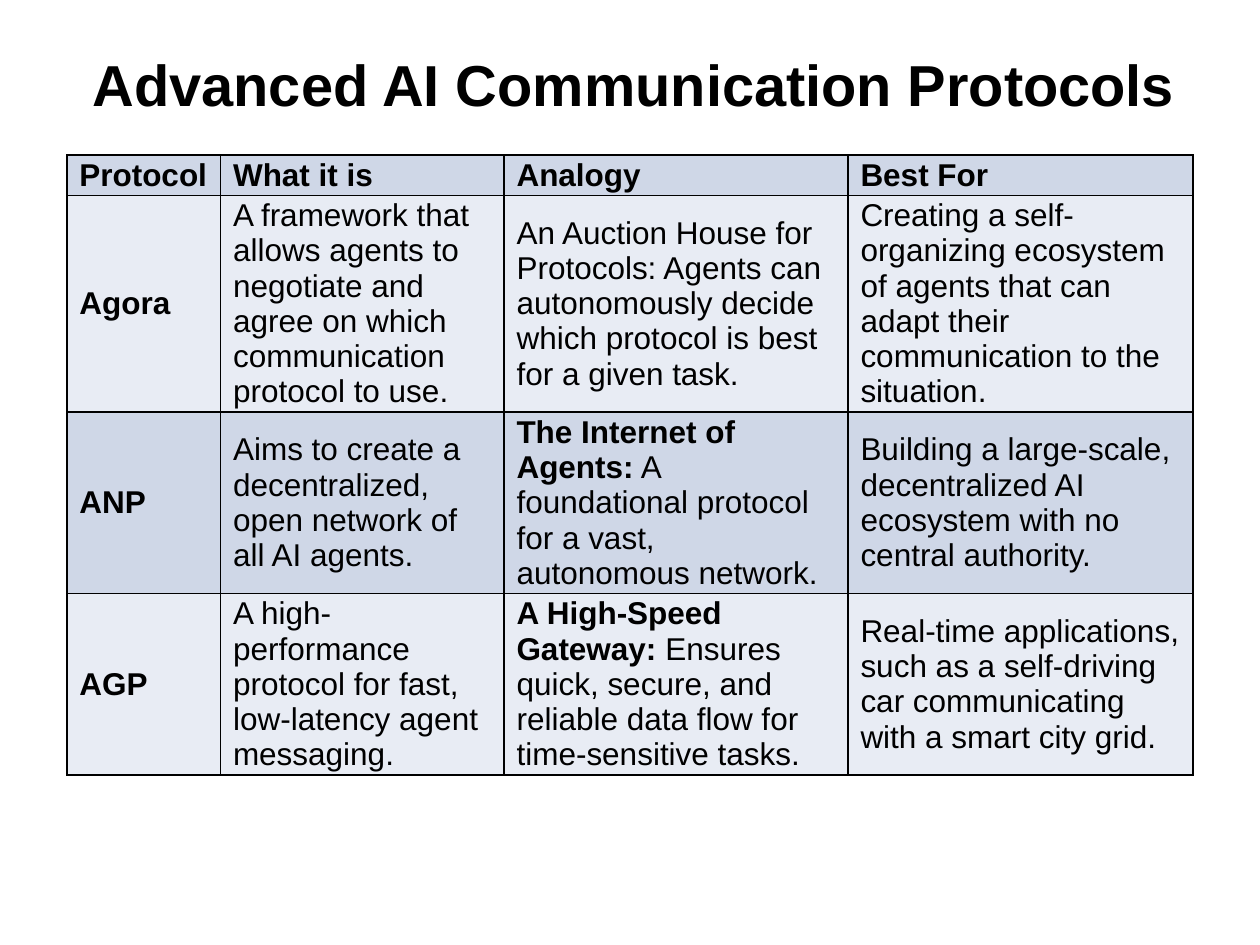
from lxml import etree
from pptx import Presentation
from pptx.dml.color import RGBColor
from pptx.enum.text import MSO_ANCHOR, PP_ALIGN
from pptx.oxml.ns import qn
from pptx.util import Pt

MIDDLE = MSO_ANCHOR.MIDDLE
CENTER = PP_ALIGN.CENTER
TITLE_ONLY = 5
COLORS = {"text": "000000", "border": "000000", "dark_band": "CFD7E7", "light_band": "E8ECF4"}

COLUMN_WIDTHS = [87.84, 162, 196.56, 197.28]
ROW_HEIGHTS = [23, 124, 103.7, 103.7]
# A pair holds a bold lead-in and the plain text after it.
PROTOCOLS = [
    ["Protocol", "What it is", "Analogy", "Best For"],
    ["Agora",
     "A framework that allows agents to negotiate and agree on which communication protocol to use.",
     "An Auction House for Protocols: Agents can autonomously decide which protocol is best "
     "for a given task.",
     "Creating a self-organizing ecosystem of agents that can adapt their communication "
     "to the situation."],
    ["ANP",
     "Aims to create a decentralized, open network of all AI agents.",
     ("The Internet of Agents:", " A foundational protocol for a vast, autonomous network."),
     "Building a large-scale, decentralized AI ecosystem with no central authority."],
    ["AGP",
     "A high-performance protocol for fast, low-latency agent messaging.",
     ("A High-Speed Gateway:",
      " Ensures quick, secure, and reliable data flow for time-sensitive tasks."),
     "Real-time applications, such as a self-driving car communicating with a smart city grid."],
]


class SlideBuilder:
    font_name = "Arial"
    title_size = 33
    table_size = 18
    border_width = 1

    def __init__(self, slide):
        self.slide = slide

    def style(self, font, size, bold=None):
        font.name = self.font_name
        font.size = Pt(size)
        font.bold = bold
        font.color.rgb = RGBColor.from_string(COLORS["text"])

    def title(self, text, left, top, width, height):
        heading = self.slide.shapes.title
        heading.left, heading.top = Pt(left), Pt(top)
        heading.width, heading.height = Pt(width), Pt(height)
        frame = heading.text_frame
        frame.text = text
        frame.vertical_anchor = MIDDLE
        paragraph = frame.paragraphs[0]
        paragraph.alignment = CENTER
        self.style(paragraph.font, self.title_size, True)

    def borders(self, cell):
        properties = cell._tc.get_or_add_tcPr()
        for position, side in enumerate(("a:lnL", "a:lnR", "a:lnT", "a:lnB")):
            line = etree.Element(qn(side), w=str(Pt(self.border_width)))
            fill = etree.SubElement(line, qn("a:solidFill"))
            etree.SubElement(fill, qn("a:srgbClr"), val=COLORS["border"])
            properties.insert(position, line)

    def cell(self, cell, content, bold, band):
        cell.fill.solid()
        cell.fill.fore_color.rgb = RGBColor.from_string(COLORS[band])
        self.borders(cell)
        cell.vertical_anchor = MIDDLE
        cell.margin_left = cell.margin_right = Pt(7.2)
        cell.margin_top = cell.margin_bottom = Pt(1.44)
        paragraph = cell.text_frame.paragraphs[0]
        if isinstance(content, tuple):
            self.style(paragraph.font, self.table_size)
            parts = zip(content, (True, False))
        else:
            self.style(paragraph.font, self.table_size, bold)
            parts = [(content, bold)]
        for text, run_bold in parts:
            run = paragraph.add_run()
            run.text = text
            self.style(run.font, self.table_size, run_bold)

    def table(self, rows, left, top, widths, heights):
        """Draw a banded grid whose first row and first column are bold."""
        table = self.slide.shapes.add_table(
            len(rows), len(widths), Pt(left), Pt(top), Pt(sum(widths)), Pt(sum(heights))).table
        table.first_row = table.horz_banding = False
        for column, width in zip(table.columns, widths):
            column.width = Pt(width)
        for r, (contents, height) in enumerate(zip(rows, heights)):
            table.rows[r].height = Pt(height)
            band = "light_band" if r % 2 else "dark_band"
            for c, content in enumerate(contents):
                self.cell(table.cell(r, c), content, r == 0 or c == 0, band)


def main():
    presentation = Presentation()
    presentation.slide_width, presentation.slide_height = Pt(720), Pt(540)
    slide = presentation.slides.add_slide(presentation.slide_layouts[TITLE_ONLY])
    builder = SlideBuilder(slide)
    builder.title("Advanced AI Communication Protocols", 38.16, 15.84, 648, 63.36)
    builder.table(PROTOCOLS, 38.16, 88.56, COLUMN_WIDTHS, ROW_HEIGHTS)
    presentation.save("out.pptx")


if __name__ == "__main__":
    main()
